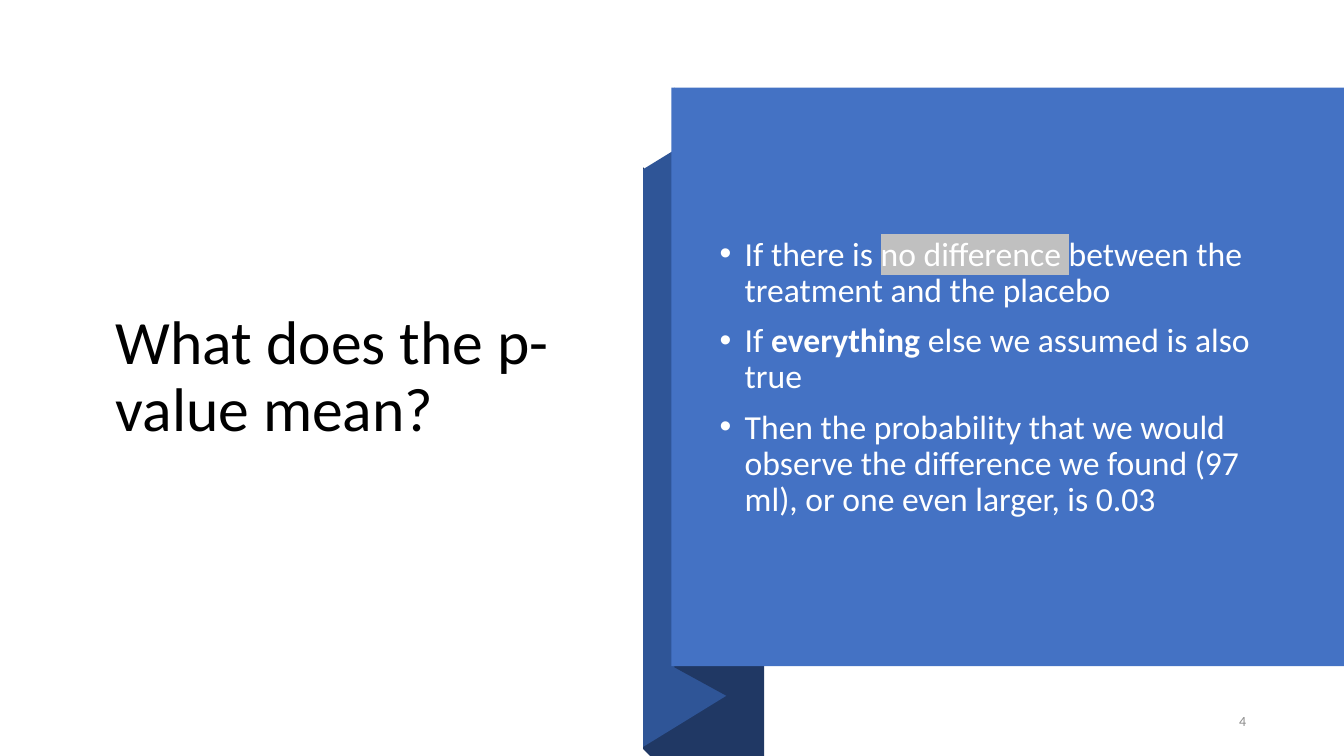
from lxml import etree
from pptx import Presentation
from pptx import util as u
from pptx.dml.color import RGBColor
from pptx.enum import shapes, text
from pptx.oxml.ns import qn

WIDE, HIGH = u.Inches(13.333), u.Inches(7.5)
HUES = {"panel": "4472C4", "side": "2F5597", "fold": "203864",
        "ink": "000000", "pale": "FFFFFF", "mute": "8C8C8C", "mark": "C0C0C0"}
# All lengths below are percentages of the slide's width and height.
TOP, DEEP = 16.4, 67.2
LEFT, EDGE = 47.85, 11.6
FOLDS = [
    ("fold", [(LEFT, 22.13), (56.85, 38.8), (56.85, 100), (48.38, 100), (LEFT, 99.07)]),
    ("side", [(LEFT, 98.8), (54.08, 92), (54.08, 15.6), (LEFT, 22.4)]),
    ("fold", [(50.18, 88.27), (54.15, 92.13), (54.15, 15.47), (50.18, EDGE)]),
]
POINTS = [
    [("If there is ", ""), ("no difference ", "mark"),
     ("between the treatment and the placebo", "")],
    [("If ", ""), ("everything", "bold"), (" else we assumed is also true", "")],
    [("Then the probability that we would observe the difference we found "
      "(97 ml), or one even larger, is 0.03", "")],
]


def across(share):
    return round(WIDE * share / 100)


def down(share):
    return round(HIGH * share / 100)


def place(left, top, width, height):
    return across(left), down(top), across(width), down(height)


def apply(item, style):
    for name, value in style.items():
        setattr(item, name, value)


def paint(shape, hue):
    shape.shadow.inherit = False
    shape.fill.solid()
    shape.fill.fore_color.rgb = RGBColor.from_string(HUES[hue])
    shape.line.fill.background()


def fold(slide, hue, spots):
    first, *rest = [(across(x), down(y)) for x, y in spots]
    pen = slide.shapes.build_freeform(*first, scale=1.0)
    pen.add_line_segments(rest, close=True)
    paint(pen.convert_to_shape(), hue)


def panel(slide, *area):
    paint(slide.shapes.add_shape(shapes.MSO_SHAPE.RECTANGLE, *place(*area)), "panel")


def shade(run):
    """Put a highlight behind the run's text."""
    mark = etree.Element(qn("a:highlight"))
    etree.SubElement(mark, qn("a:srgbClr"), val=HUES["mark"])
    run.font.fill._xPr.find(qn("a:solidFill")).addnext(mark)


def bullet(para):
    props = para._p.get_or_add_pPr()
    inset = u.Inches(0.25)
    props.set("marL", str(inset))
    props.set("indent", str(-inset))
    etree.SubElement(props, qn("a:buFont"), typeface="Arial")
    etree.SubElement(props, qn("a:buChar"), char="•")


def write(slide, area, paras, size, hue, style, dots=False):
    """Add a middle-anchored text box; each paragraph lists (text, mood) runs."""
    frame = slide.shapes.add_textbox(*place(*area)).text_frame
    apply(frame, {"word_wrap": True, "vertical_anchor": text.MSO_ANCHOR.MIDDLE})
    for index, runs in enumerate(paras):
        para = frame.add_paragraph() if index else frame.paragraphs[0]
        if dots:
            bullet(para)
        apply(para, style)
        if index:
            para.space_before = u.Pt(10)
        for words, mood in runs:
            run = para.add_run()
            run.text = words
            apply(run.font, {"name": "Calibri", "size": u.Pt(size), "bold": mood == "bold"})
            run.font.color.rgb = RGBColor.from_string(HUES[hue])
            if mood == "mark":
                shade(run)


def main():
    deck = Presentation()
    apply(deck, {"slide_width": WIDE, "slide_height": HIGH})
    slide = deck.slides.add_slide(deck.slide_layouts[6])
    tight = {"line_spacing": 0.9}

    write(slide, (7.88, TOP, 34.35, DEEP), [[("What does the p-value mean?", "")]],
          44, "ink", tight)
    for hue, spots in FOLDS:
        fold(slide, hue, spots)
    panel(slide, 49.95, EDGE, 50.05, 76.53)
    write(slide, (52.8, TOP, 41.55, DEEP), POINTS, 24, "pale", tight, dots=True)
    write(slide, (87.83, 93.07, 5.63, 4.67), [[("4", "")]], 10, "mute",
          {"alignment": text.PP_ALIGN.RIGHT, "space_after": u.Pt(6)})
    deck.save("out.pptx")


if __name__ == "__main__":
    main()
